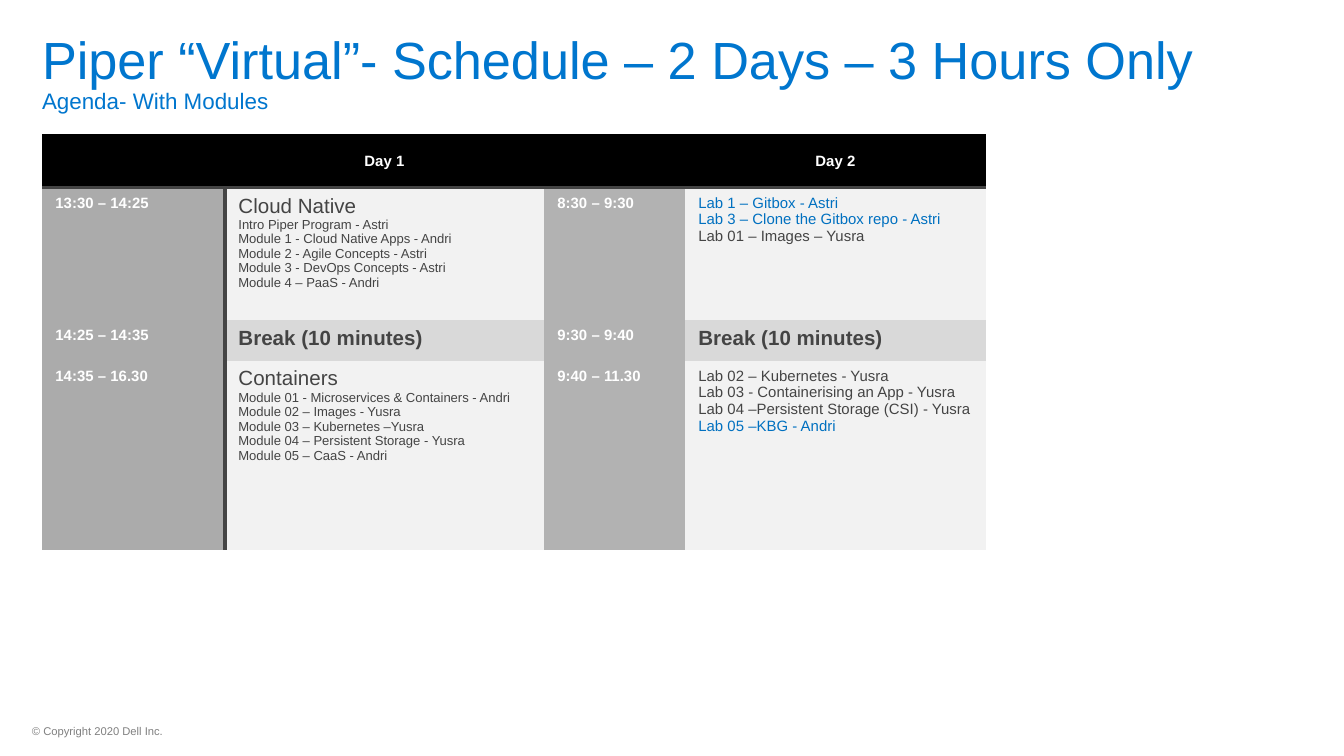
from lxml.etree import SubElement
from pptx import Presentation
from pptx.dml.color import RGBColor
from pptx.enum.text import MSO_ANCHOR, PP_ALIGN
from pptx.oxml.ns import qn
from pptx.util import Emu, Pt

PX = 914400 / 134.4
FONT = "Arial"
COLORS = {
    "title": "0076CE", "footer": "808080", "header": "000000", "white": "FFFFFF",
    "text": "444444", "link": "0070C0", "day 1 time": "ABABAB",
    "day 2 time": "B2B2B2", "session": "F2F2F2", "break": "D9D9D9",
}

TITLE = [("Piper “Virtual”- Schedule – 2 Days – 3 Hours Only", 28),
         ("Agenda- With Modules", 12)]
COPYRIGHT = "© Copyright 2020 Dell Inc."

# Each line is (text, size, colour, bold)
def time(text):
    return [(text, 8, "white", True)]


def modules(heading, *names):
    return [(heading, 11, "text", False)] + [(name, 7, "text", False) for name in names]


def lab(text, color="text"):
    return (text, 8, color, False)


BREAK = [("Break (10 minutes)", 11, "text", True)]
HEADER = [[], time("Day 1"), [], time("Day 2")]
SCHEDULE = [
    HEADER,
    [time("13:30 – 14:25"),
     modules("Cloud Native", "Intro Piper Program - Astri",
             "Module 1 - Cloud Native Apps - Andri", "Module 2 - Agile Concepts - Astri",
             "Module 3 - DevOps Concepts - Astri", "Module 4 – PaaS - Andri"),
     time("8:30 – 9:30"),
     [lab("Lab 1 – Gitbox - Astri", "link"),
      lab("Lab 3 – Clone the Gitbox repo - Astri", "link"),
      lab("Lab 01 – Images – Yusra")]],
    [time("14:25 – 14:35"), BREAK, time("9:30 – 9:40"), BREAK],
    [time("14:35 – 16.30"),
     modules("Containers", "Module 01 - Microservices & Containers - Andri",
             "Module 02 – Images - Yusra", "Module 03 – Kubernetes –Yusra",
             "Module 04 – Persistent Storage - Yusra", "Module 05 – CaaS - Andri"),
     time("9:40 – 11.30"),
     [lab("Lab 02 – Kubernetes - Yusra"), lab("Lab 03 - Containerising an App - Yusra"),
      lab("Lab 04 –Persistent Storage (CSI) - Yusra"), lab("Lab 05 –KBG - Andri", "link")]],
]
COLUMN_WIDTHS = [183, 319, 141, 301]
ROW_HEIGHTS = [51, 132, 41, 189]


def px(length):
    return Emu(round(length * PX))


def add_span(para, text, size, color, bold=False):
    span = para.add_run()
    span.text = text
    span.font.name = FONT
    span.font.size = Pt(size)
    span.font.bold = bold
    span.font.color.rgb = RGBColor.from_string(COLORS[color])


def add_text_box(page, left, top, width, height, wrap):
    """Add a box without margins and return its frame."""
    frame = page.shapes.add_textbox(px(left), px(top), px(width), px(height)).text_frame
    frame.margin_left = frame.margin_right = frame.margin_top = frame.margin_bottom = 0
    frame.word_wrap = wrap
    frame.paragraphs[0].line_spacing = 0.9
    return frame


def set_borders(cell, dark_sides):
    properties = cell._tc.get_or_add_tcPr()
    for side in "LRTB":
        if side in dark_sides:
            line = SubElement(properties, qn(f"a:ln{side}"), w=str(Pt(2)))
            fill = SubElement(line, qn("a:solidFill"))
            SubElement(fill, qn("a:srgbClr"), val=COLORS["text"])
        else:
            line = SubElement(properties, qn(f"a:ln{side}"), w="0")
            SubElement(line, qn("a:noFill"))


def cell_fill(row, column):
    if row == 0:
        return "header"
    if column in (0, 2):
        return "day 1 time" if column == 0 else "day 2 time"
    return "break" if SCHEDULE[row][column] is BREAK else "session"


def dark_sides(row, column):
    """A dark rule runs under the header and right of the first times."""
    if row == 0:
        return "B"
    return {0: "R", 1: "L"}.get(column, "") + ("T" if row == 1 else "")


def fill_cell(cell, row, column):
    set_borders(cell, dark_sides(row, column))
    cell.fill.solid()
    cell.fill.fore_color.rgb = RGBColor.from_string(COLORS[cell_fill(row, column)])
    cell.vertical_anchor = MSO_ANCHOR.MIDDLE if row == 0 else MSO_ANCHOR.TOP
    frame = cell.text_frame
    for index, line in enumerate(SCHEDULE[row][column]):
        para = frame.add_paragraph() if index else frame.paragraphs[0]
        para.alignment = PP_ALIGN.CENTER if row == 0 else PP_ALIGN.LEFT
        add_span(para, *line)


def add_schedule(page, left, top):
    table = page.shapes.add_table(
        len(ROW_HEIGHTS), len(COLUMN_WIDTHS), px(left), px(top),
        px(sum(COLUMN_WIDTHS)), px(sum(ROW_HEIGHTS))).table
    table.horz_banding = False
    for column, width in zip(table.columns, COLUMN_WIDTHS):
        column.width = px(width)
    for row, height in zip(table.rows, ROW_HEIGHTS):
        row.height = px(height)
    for row in range(len(ROW_HEIGHTS)):
        for column in range(len(COLUMN_WIDTHS)):
            fill_cell(table.cell(row, column), row, column)


def main():
    deck = Presentation()
    deck.slide_width, deck.slide_height = px(1344), px(756)
    page = deck.slides.add_slide(deck.slide_layouts[6])

    footer = add_text_box(page, 32, 726, 133, 12, wrap=False)
    footer.vertical_anchor = MSO_ANCHOR.MIDDLE
    add_span(footer.paragraphs[0], COPYRIGHT, 6, "footer")

    heading = add_text_box(page, 42, 34, 1260, 82, wrap=True).paragraphs[0]
    for index, (text, size) in enumerate(TITLE):
        if index:
            heading.add_line_break()
        add_span(heading, text, size, "title")

    add_schedule(page, 42, 134)
    deck.save("out.pptx")


if __name__ == "__main__":
    main()
